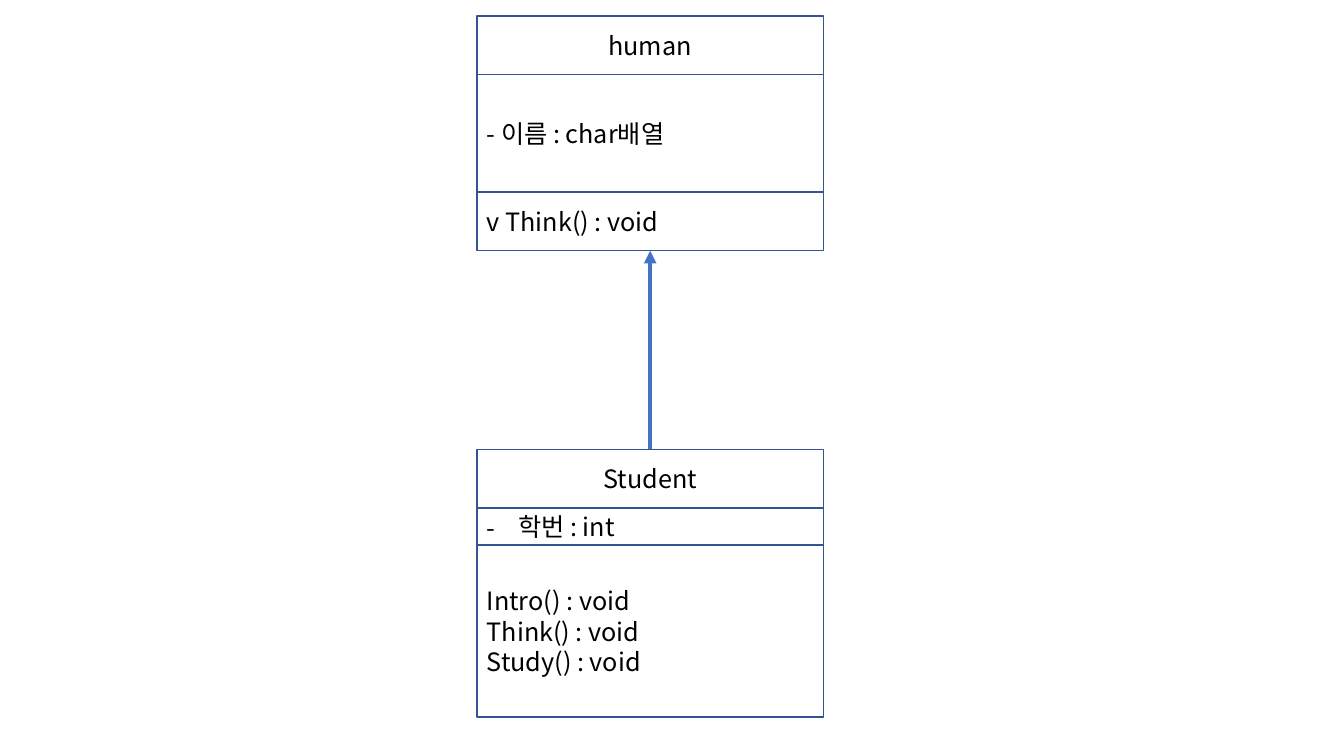
from dataclasses import dataclass

from lxml import etree
from pptx import Presentation
from pptx.dml.color import RGBColor
from pptx.enum.shapes import MSO_CONNECTOR, MSO_SHAPE
from pptx.enum.text import MSO_ANCHOR, PP_ALIGN
from pptx.oxml.ns import qn
from pptx.util import Pt

RECT = MSO_SHAPE.RECTANGLE
LINE = MSO_CONNECTOR.STRAIGHT
MIDDLE = MSO_ANCHOR.MIDDLE
LEFT, CENTER = PP_ALIGN.LEFT, PP_ALIGN.CENTER
FONT = "Noto Sans CJK KR"
WHITE, BLACK, NAVY, BLUE = "FFFFFF", "000000", "325491", "4472C4"
BOX_LEFT, BOX_WIDTH = 340.6, 247.7
HEAD = 41.9


@dataclass
class Row:
    height: float
    lines: list[str]
    align: PP_ALIGN = LEFT
    bullet: str = ""


@dataclass
class Box:
    top: float
    rows: list[Row]

    @property
    def bottom(self) -> float:
        return self.top + sum(row.height for row in self.rows)


def color(code: str) -> RGBColor:
    return RGBColor.from_string(code)


def write(frame, lines: list[str], *, size: float = 18, ink: str = BLACK,
          align: PP_ALIGN = LEFT, bullet: str = "", indent: float = 22.5) -> None:
    frame.word_wrap = True
    frame.vertical_anchor = MIDDLE
    for index, text in enumerate(lines):
        para = frame.add_paragraph() if index else frame.paragraphs[0]
        para.alignment = align
        run = para.add_run()
        run.text = text
        run.font.size = Pt(size)
        run.font.name = FONT
        run.font.color.rgb = color(ink)
        etree.SubElement(run._r.get_or_add_rPr(), qn("a:ea"), typeface=FONT)
        if bullet:
            props = para._p.get_or_add_pPr()
            props.set("marL", str(Pt(indent)))
            props.set("indent", str(-Pt(indent)))
            etree.SubElement(props, qn("a:buFont"), typeface=FONT)
            etree.SubElement(props, qn("a:buChar"), char=bullet)


def draw_box(slide, box: Box) -> None:
    top = box.top
    for row in box.rows:
        shape = slide.shapes.add_shape(
            RECT, Pt(BOX_LEFT), Pt(top), Pt(BOX_WIDTH), Pt(row.height))
        shape.shadow.inherit = False
        shape.fill.solid()
        shape.fill.fore_color.rgb = color(WHITE)
        shape.line.color.rgb = color(NAVY)
        shape.line.width = Pt(1)
        write(shape.text_frame, row.lines, align=row.align, bullet=row.bullet)
        top += row.height


def draw_arrow(slide, child: Box, base: Box) -> None:
    mid = Pt(BOX_LEFT + BOX_WIDTH / 2)
    arrow = slide.shapes.add_connector(LINE, mid, Pt(child.top), mid, Pt(base.bottom))
    arrow.line.color.rgb = color(BLUE)
    arrow.line.width = Pt(3)
    props = arrow._element.spPr
    etree.SubElement(props.find(qn("a:ln")), qn("a:tailEnd"), type="triangle")
    etree.SubElement(props, qn("a:effectLst"))


human = Box(11.5, [
    Row(HEAD, ["human"], CENTER),
    Row(2 * HEAD, ["- 이름 : char배열"]),
    Row(HEAD, ["v Think() : void"]),
])
student = Box(320.9, [
    Row(HEAD, ["Student"], CENTER),
    Row(26.5, ["학번 : int"], bullet="-"),
    Row(123, ["Intro() : void", "Think() : void", "Study() : void"]),
])

deck = Presentation()
deck.slide_width, deck.slide_height = Pt(960), Pt(540)
slide = deck.slides.add_slide(deck.slide_layouts[6])
for box in (human, student):
    draw_box(slide, box)
draw_arrow(slide, student, human)
deck.save("out.pptx")
